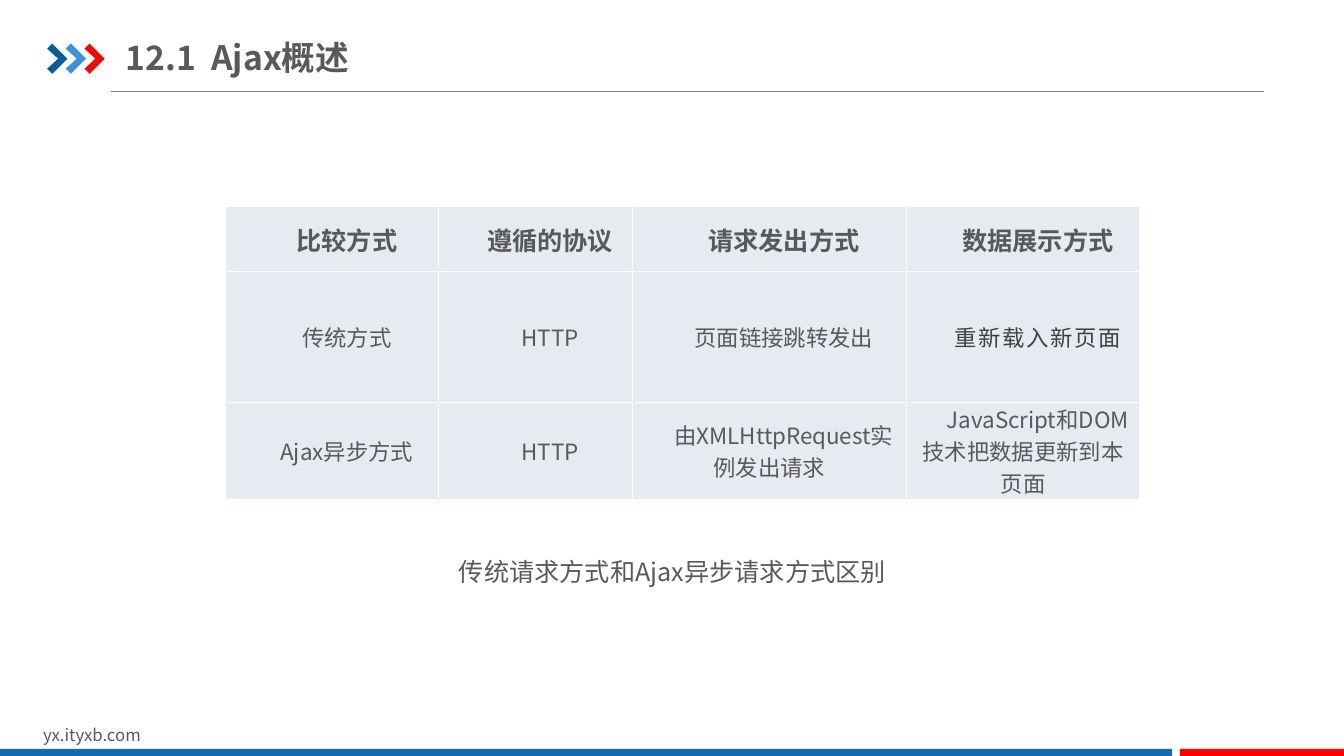
from lxml import etree
from pptx import Presentation
from pptx.dml.color import RGBColor
from pptx.enum import shapes, text
from pptx.oxml.ns import qn
from pptx.util import Cm, Pt

FONT = "Noto Sans CJK SC"
GREY = RGBColor(0x59, 0x59, 0x59)
DARK = RGBColor(0x40, 0x40, 0x40)
RULE = RGBColor(0x80, 0x80, 0x80)
CELL = RGBColor(0xE7, 0xEA, 0xF0)
NAVY = RGBColor(0x00, 0x5D, 0xA2)
SKY = RGBColor(0x39, 0x92, 0xDB)
BLUE = RGBColor(0x13, 0x69, 0xB2)
RED = RGBColor(0xFF, 0x00, 0x00)

COLUMNS = [5.36, 4.88, 6.91, 5.89]
ROWS = [1.63, 3.3, 2.21]
COMPARISON = [
    ["比较方式", "遵循的协议", "请求发出方式", "数据展示方式"],
    ["传统方式", "HTTP", "页面链接跳转发出", "重新载入新页面"],
    ["Ajax异步方式", "HTTP", "由XMLHttpRequest实例发出请求",
     "JavaScript和DOM技术把数据更新到本页面"],
]


def write(tf, content, size, align=text.PP_ALIGN.LEFT, bold=False, color=GREY):
    p = tf.paragraphs[0]
    p.alignment = align
    r = p.add_run()
    r.text = content
    for name, value in {"size": Pt(size), "name": FONT, "bold": bold}.items():
        setattr(r.font, name, value)
    r.font.color.rgb = color
    etree.SubElement(r._r.get_or_add_rPr(), qn("a:ea")).set("typeface", FONT)
    return p, r


def paint(sp, color):
    sp.shadow.inherit = False
    sp.fill.solid()
    sp.fill.fore_color.rgb = color
    sp.line.fill.background()


def add_label(s, content, size, left, top, width, height, align):
    tf = s.shapes.add_textbox(Cm(left), Cm(top), Cm(width), Cm(height)).text_frame
    tf.word_wrap = True
    return write(tf, content, size, align)[0]


def add_chevrons(s, left, top, width, height, pitch):
    notch = width / 4
    for i, color in enumerate([NAVY, SKY, RED]):
        x, mid = left + i * pitch, top + height / 2
        points = [(x, top + notch), (x + notch, top), (x + width, mid),
                  (x + notch, top + height), (x, top + height - notch),
                  (x + width - 2 * notch + 0.02, mid)]
        points = [(Cm(a), Cm(b)) for a, b in points]
        fb = s.shapes.build_freeform(*points[0])
        fb.add_line_segments(points[1:], close=True)
        paint(fb.convert_to_shape(), color)


def add_header(s, left, top, width, height):
    add_chevrons(s, left, top + 0.36, 0.51, 0.76, 0.47)
    title = s.shapes.title
    box = {"left": left + 1.98, "top": top, "width": 10.82, "height": 1.4}
    for name, value in box.items():
        setattr(title, name, Cm(value))
    tf = title.text_frame
    margins = {"margin_left": 0, "margin_right": 0,
               "margin_top": Cm(0.18), "margin_bottom": Cm(0.18)}
    for name, value in margins.items():
        setattr(tf, name, value)
    tf.vertical_anchor = text.MSO_ANCHOR.MIDDLE
    tf.auto_size = text.MSO_AUTO_SIZE.NONE
    write(tf, "12.1  Ajax概述", 24, bold=True)
    y = Cm(top + height)
    rule = s.shapes.add_connector(shapes.MSO_CONNECTOR.STRAIGHT,
                                  Cm(left + 1.6), y, Cm(left + width), y)
    rule.line.color.rgb = RULE
    rule.line.width = Pt(0.75)
    etree.SubElement(rule._element.spPr, qn("a:effectLst"))


def add_footer(s, top, width, height):
    add_label(s, "yx.ityxb.com", 12, 0.84, top - 0.74, 8.08, 0.76, text.PP_ALIGN.LEFT)
    split, gap = 29.54, 0.2
    for left, right, color in [(0, split, BLUE), (split + gap, width, RED)]:
        bar = s.shapes.add_shape(shapes.MSO_SHAPE.RECTANGLE, Cm(left), Cm(top),
                                 Cm(right - left), Cm(height))
        paint(bar, color)


def border_cell(cell):
    tcPr = cell._tc.get_or_add_tcPr()
    for i, side in enumerate(["lnL", "lnR", "lnT", "lnB"]):
        ln = etree.Element(qn("a:" + side), w=str(Pt(1)))
        fill = etree.SubElement(ln, qn("a:solidFill"))
        etree.SubElement(fill, qn("a:srgbClr")).set("val", "FFFFFF")
        tcPr.insert(i, ln)


def format_cell(cell, content, header, accent):
    margins = {"margin_left": Cm(0.18), "margin_right": Cm(0.18),
               "margin_top": 0, "margin_bottom": 0}
    for name, value in margins.items():
        setattr(cell, name, value)
    cell.vertical_anchor = text.MSO_ANCHOR.MIDDLE
    cell.fill.solid()
    cell.fill.fore_color.rgb = CELL
    border_cell(cell)
    p, r = write(cell.text_frame, content, 18 if header else 16, text.PP_ALIGN.CENTER,
                 header, DARK if accent else GREY)
    pPr = p._p.get_or_add_pPr()
    pPr.set("marL", "0")
    pPr.set("indent", str(Cm(0.74)))
    if accent:
        r._r.rPr.set("spc", "130")


def add_comparison(s, left, top):
    frame = s.shapes.add_table(len(ROWS), len(COLUMNS), Cm(left), Cm(top),
                               Cm(sum(COLUMNS)), Cm(sum(ROWS)))
    table = frame.table
    for column, width in zip(table.columns, COLUMNS):
        column.width = Cm(width)
    for i, (row, height) in enumerate(zip(table.rows, ROWS)):
        row.height = Cm(height)
        for j, cell in enumerate(row.cells):
            format_cell(cell, COMPARISON[i][j], i == 0, (i, j) == (1, 3))


def main():
    prs = Presentation()
    prs.slide_width, prs.slide_height = Cm(33.87), Cm(19.05)
    s = prs.slides.add_slide(prs.slide_layouts[5])
    add_header(s, 1.19, 0.74, 30.66, 1.57)
    add_comparison(s, 5.69, 5.21)
    caption = add_label(s, "传统请求方式和Ajax异步请求方式区别", 18,
                        11.28, 14.02, 11.33, 1.02, text.PP_ALIGN.CENTER)
    caption.line_spacing = 0.83
    add_footer(s, 18.87, 33.87, 0.22)
    prs.save("out.pptx")


if __name__ == "__main__":
    main()
